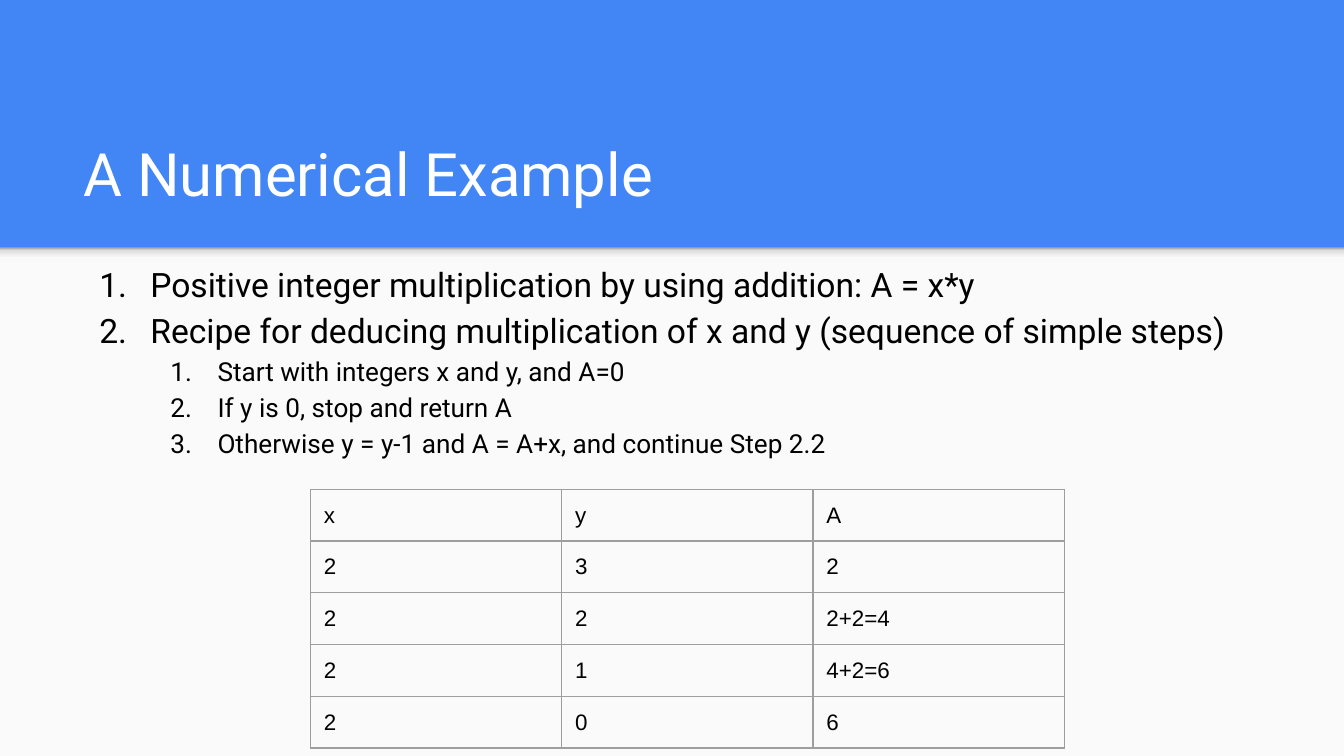
from dataclasses import dataclass

from lxml import etree
from pptx import Presentation
from pptx.dml.color import RGBColor
from pptx.enum.shapes import MSO_SHAPE
from pptx.enum.text import MSO_ANCHOR, MSO_AUTO_SIZE, PP_ALIGN
from pptx.oxml import parse_xml
from pptx.oxml.ns import nsdecls, qn
from pptx.util import Inches, Pt

RECTANGLE = MSO_SHAPE.RECTANGLE
ANCHOR_TOP, ANCHOR_BOTTOM = MSO_ANCHOR.TOP, MSO_ANCHOR.BOTTOM
NO_AUTOFIT = MSO_AUTO_SIZE.NONE
ALIGN_LEFT = PP_ALIGN.LEFT
TITLE_ONLY = 5


@dataclass(frozen=True)
class Theme:
    blue: str = "4285F4"
    panel: str = "FAFAFA"
    white: str = "FFFFFF"
    black: str = "000000"
    border: str = "9E9E9E"
    font: str = "Roboto"
    table_font: str = "Arial"
    title_size: int = 32
    level_sizes: tuple = (18, 14)
    table_size: int = 12
    border_width: float = 0.75
    inset: float = 0.1


THEME = Theme()
SLIDE_WIDTH = Inches(10)
SLIDE_HEIGHT = SLIDE_WIDTH * 9 // 16
PANEL_TOP = Inches(1.84)
SHADOW_STOPS = [(0, "F9F9F9"), (36, "F9F9F9"), (80, "DEDEDE"), (100, "999999")]
LEVEL_INDENTS = [(0.5, 0.38), (1, 0.35)]  # text margin, hanging number

STEPS = [
    (0, "Positive integer multiplication by using addition: A = x*y"),
    (0, "Recipe for deducing multiplication of x and y (sequence of simple steps)"),
    (1, "Start with integers x and y, and A=0"),
    (1, "If y is 0, stop and return A"),
    (1, "Otherwise y = y-1 and A = A+x, and continue Step 2.2"),
]
TRACE = [
    ("x", "y", "A"),
    ("2", "3", "2"),
    ("2", "2", "2+2=4"),
    ("2", "1", "4+2=6"),
    ("2", "0", "6"),
]


def format_runs(p, size, color, font):
    for r in p.runs:
        r.font.size = Pt(size)
        r.font.name = font
        r.font.color.rgb = RGBColor.from_string(color)


def set_insets(target):
    """Give a text frame or table cell the same inset on each side."""
    target.margin_left = target.margin_right = Inches(THEME.inset)
    target.margin_top = target.margin_bottom = Inches(THEME.inset)


def add_rectangle(slide, top, height, color):
    sp = slide.shapes.add_shape(RECTANGLE, 0, top, SLIDE_WIDTH, height)
    sp.shadow.inherit = False
    sp.line.fill.background()
    sp.fill.solid()
    sp.fill.fore_color.rgb = RGBColor.from_string(color)
    return sp


def set_gradient(sp, stops, angle):
    """Replace a solid fill with a linear gradient of any number of stops."""
    stop_xml = "".join(
        f'<a:gs pos="{pos * 1000}"><a:srgbClr val="{color}"/></a:gs>'
        for pos, color in stops
    )
    gradient = parse_xml(
        f'<a:gradFill {nsdecls("a")} rotWithShape="1"><a:gsLst>{stop_xml}</a:gsLst>'
        f'<a:lin ang="{angle * 60000}" scaled="0"/></a:gradFill>'
    )
    solid = sp.element.spPr.find(qn("a:solidFill"))
    solid.getparent().replace(solid, gradient)


def set_title(slide, text):
    title = slide.shapes.title
    title.left, title.top = Inches(0.52), Inches(0.81)
    title.width, title.height = Inches(8.99), Inches(0.84)
    tf = title.text_frame
    tf.text = text
    tf.auto_size = NO_AUTOFIT
    tf.vertical_anchor = ANCHOR_BOTTOM
    set_insets(tf)
    p = tf.paragraphs[0]
    p.alignment = ALIGN_LEFT
    format_runs(p, THEME.title_size, THEME.white, THEME.font)


def number_paragraph(p, level):
    margin, hanging = LEVEL_INDENTS[level]
    p.level = level
    pPr = p._p.get_or_add_pPr()
    pPr.set("marL", str(Inches(margin)))
    pPr.set("indent", str(-Inches(hanging)))
    color = etree.SubElement(pPr, qn("a:buClr"))
    etree.SubElement(color, qn("a:srgbClr"), val=THEME.black)
    etree.SubElement(pPr, qn("a:buFont"), typeface=THEME.font)
    etree.SubElement(pPr, qn("a:buAutoNum"), type="arabicPeriod")


def add_numbered_list(slide, items):
    box = slide.shapes.add_textbox(Inches(0.52), Inches(1.82), Inches(8.99), Inches(2.96))
    tf = box.text_frame
    tf.word_wrap = True
    tf.vertical_anchor = ANCHOR_TOP
    set_insets(tf)
    for i, (level, text) in enumerate(items):
        p = tf.add_paragraph() if i else tf.paragraphs[0]
        p.text = text
        p.line_spacing = 1.15
        number_paragraph(p, level)
        format_runs(p, THEME.level_sizes[level], THEME.black, THEME.font)


def set_borders(cell):
    tcPr = cell._tc.get_or_add_tcPr()
    for i, side in enumerate(("lnL", "lnR", "lnT", "lnB")):
        tcPr.insert(i, parse_xml(
            f'<a:{side} {nsdecls("a")} w="{Pt(THEME.border_width)}">'
            f'<a:solidFill><a:srgbClr val="{THEME.border}"/></a:solidFill></a:{side}>'
        ))


def add_trace_table(slide, rows):
    col_width, row_height = Inches(1.87), Inches(0.35)
    n_rows, n_cols = len(rows), len(rows[0])
    table = slide.shapes.add_table(
        n_rows, n_cols, Inches(2.31), Inches(3.64),
        col_width * n_cols, row_height * n_rows,
    ).table
    table.first_row = table.horz_banding = False
    for row, values in zip(table.rows, rows):
        row.height = row_height
        for cell, value in zip(row.cells, values):
            cell.text = value
            cell.fill.background()
            set_insets(cell)
            cell.margin_bottom = Pt(6.1)  # keeps the last row on the slide
            set_borders(cell)
            format_runs(cell.text_frame.paragraphs[0],
                        THEME.table_size, THEME.black, THEME.table_font)


def main():
    prs = Presentation()
    prs.slide_width, prs.slide_height = SLIDE_WIDTH, SLIDE_HEIGHT
    slide = prs.slides.add_slide(prs.slide_layouts[TITLE_ONLY])
    background = slide.background.fill
    background.solid()
    background.fore_color.rgb = RGBColor.from_string(THEME.blue)

    add_rectangle(slide, PANEL_TOP, SLIDE_HEIGHT - PANEL_TOP, THEME.panel)
    shadow = add_rectangle(slide, PANEL_TOP, Inches(0.12), THEME.panel)
    set_gradient(shadow, SHADOW_STOPS, 270)
    set_title(slide, "A Numerical Example")
    add_numbered_list(slide, STEPS)
    add_trace_table(slide, TRACE)
    prs.save("out.pptx")


if __name__ == "__main__":
    main()
